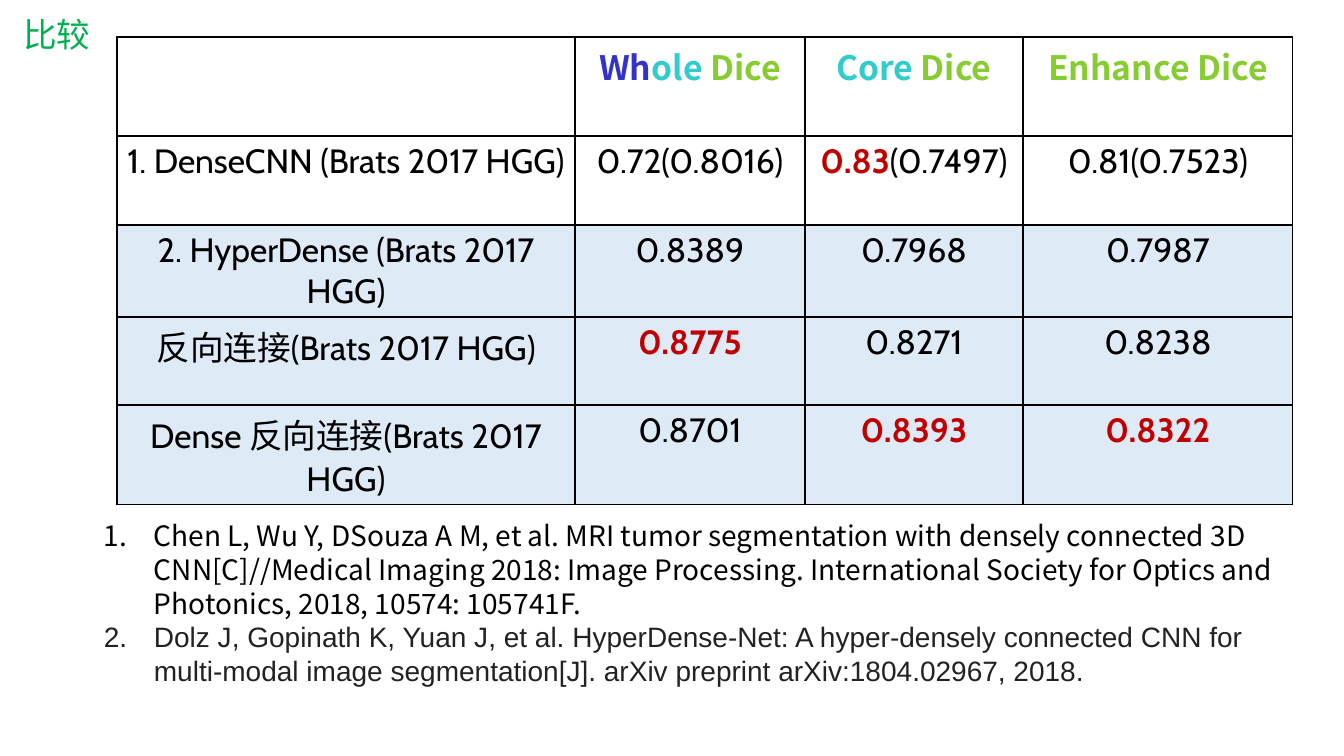
from lxml import etree
from pptx import Presentation
from pptx.dml.color import RGBColor
from pptx.enum.text import MSO_ANCHOR, PP_ALIGN
from pptx.oxml.ns import qn
from pptx.util import Emu, Pt

CENTER, LEFT, TOP = PP_ALIGN.CENTER, PP_ALIGN.LEFT, MSO_ANCHOR.TOP
BLACK = RGBColor(0x00, 0x00, 0x00)
WHITE = RGBColor(0xFF, 0xFF, 0xFF)
PALE_BLUE = RGBColor(0xDE, 0xEB, 0xF7)
RED = RGBColor(0xC0, 0x00, 0x00)
GREEN = RGBColor(0x00, 0xB0, 0x50)
INDIGO = RGBColor(0x33, 0x33, 0xCC)
TEAL = RGBColor(0x33, 0xCC, 0xCC)
LIME = RGBColor(0x88, 0xCC, 0x33)
DARK_GRAY = RGBColor(0x22, 0x22, 0x22)
CABIN, NOTO, ARIAL = "Cabin", "Noto Sans CJK SC", "Arial"


def px(count):
    return Emu(round(count * 914400 / 100.8))


def add_span(para, text, font, size, color, bold=False):
    span = para.add_run()
    span.text = text
    span.font.name = font
    span.font.size = Pt(size)
    span.font.bold = bold
    span.font.color.rgb = color


deck = Presentation()
deck.slide_width, deck.slide_height = px(1344), px(756)
page = deck.slides.add_slide(deck.slide_layouts[5])

# Title
title = page.shapes.title
title.left, title.top, title.width, title.height = px(13), px(9), px(430), px(50)
title.text_frame.vertical_anchor = TOP
title_para = title.text_frame.paragraphs[0]
title_para.alignment = LEFT
add_span(title_para, "比较", CABIN, 24, GREEN)

# Score table: each cell is a list of (text, color) spans; red marks the best score
COLUMN_WIDTHS = [458, 230, 218, 270]
ROW_HEIGHTS = [99, 89, 92, 88, 100]
ROWS = [
    [[], [("Wh", INDIGO), ("ole ", TEAL), ("Dice", LIME)],
     [("Core ", TEAL), ("Dice", LIME)], [("Enhance Dice", LIME)]],
    [[("1. DenseCNN (Brats 2017 HGG)", BLACK)], [("0.72(0.8016)", BLACK)],
     [("0.83", RED), ("(0.7497)", BLACK)], [("0.81(0.7523)", BLACK)]],
    [[("2. HyperDense (Brats 2017 HGG)", BLACK)], [("0.8389", BLACK)],
     [("0.7968", BLACK)], [("0.7987", BLACK)]],
    [[("反向连接(Brats 2017 HGG)", BLACK)], [("0.8775", RED)],
     [("0.8271", BLACK)], [("0.8238", BLACK)]],
    [[("Dense 反向连接(Brats 2017 HGG)", BLACK)], [("0.8701", BLACK)],
     [("0.8393", RED)], [("0.8322", RED)]],
]
table = page.shapes.add_table(
    len(ROWS), len(COLUMN_WIDTHS), px(117), px(37),
    px(sum(COLUMN_WIDTHS)), px(sum(ROW_HEIGHTS))).table
for column, width in zip(table.columns, COLUMN_WIDTHS):
    column.width = px(width)
for row, height in zip(table.rows, ROW_HEIGHTS):
    row.height = px(height)

for row_index, row in enumerate(ROWS):
    for column_index, spans in enumerate(row):
        cell = table.cell(row_index, column_index)
        cell.margin_left = cell.margin_right = px(8)
        cell.margin_top = cell.margin_bottom = px(5)
        cell_properties = cell._tc.get_or_add_tcPr()
        for side in ("a:lnL", "a:lnR", "a:lnT", "a:lnB"):
            border = etree.SubElement(cell_properties, qn(side), w=str(Pt(1)))
            border_fill = etree.SubElement(border, qn("a:solidFill"))
            etree.SubElement(border_fill, qn("a:srgbClr"), val=str(BLACK))
        cell.fill.solid()
        cell.fill.fore_color.rgb = WHITE if row_index < 2 else PALE_BLUE
        para = cell.text_frame.paragraphs[0]
        para.alignment = CENTER
        for text, color in spans:
            add_span(para, text, CABIN if row_index else NOTO, 24, color,
                     bold=color != BLACK)

# Numbered references
REFERENCES = [
    ("Chen L, Wu Y, DSouza A M, et al. MRI tumor segmentation with densely "
     "connected 3D CNN[C]//Medical Imaging 2018: Image Processing. International "
     "Society for Optics and Photonics, 2018, 10574: 105741F.", NOTO, BLACK),
    ("Dolz J, Gopinath K, Yuan J, et al. HyperDense-Net: A hyper-densely connected "
     "CNN for multi-modal image segmentation[J]. arXiv preprint arXiv:1804.02967, "
     "2018.", ARIAL, DARK_GRAY),
]
box = page.shapes.add_textbox(px(94), px(514), px(1223), px(179))
frame = box.text_frame
frame.word_wrap = True
for index, (text, font, color) in enumerate(REFERENCES):
    para = frame.add_paragraph() if index else frame.paragraphs[0]
    para.line_spacing = Pt(24)
    para_properties = para._p.get_or_add_pPr()
    para_properties.set("marL", str(px(50)))
    para_properties.set("indent", str(-px(50)))
    etree.SubElement(para_properties, qn("a:buFont"), typeface="+mj-lt")
    etree.SubElement(para_properties, qn("a:buAutoNum"), type="arabicPeriod")
    add_span(para, text, font, 20, color)

deck.save("out.pptx")
